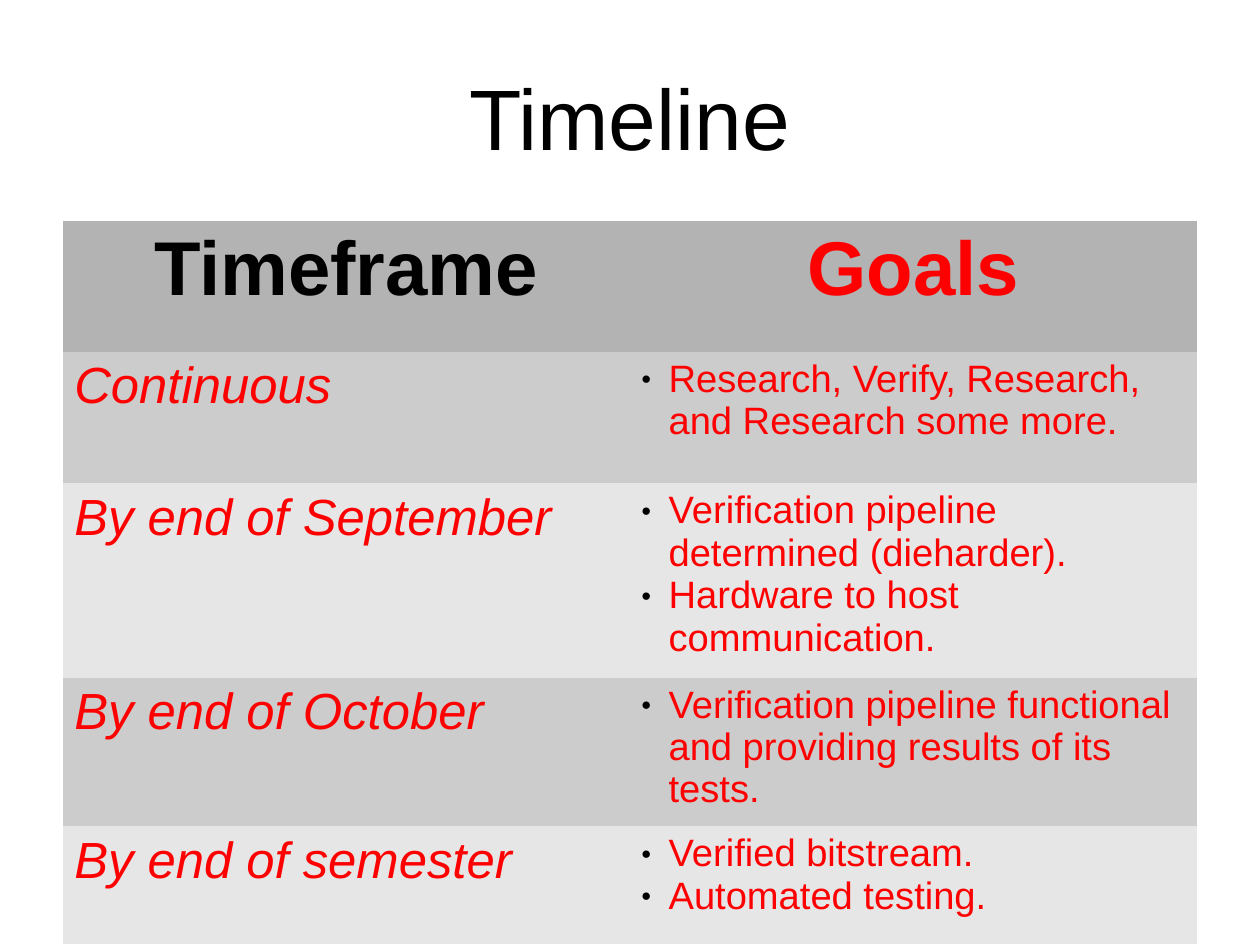
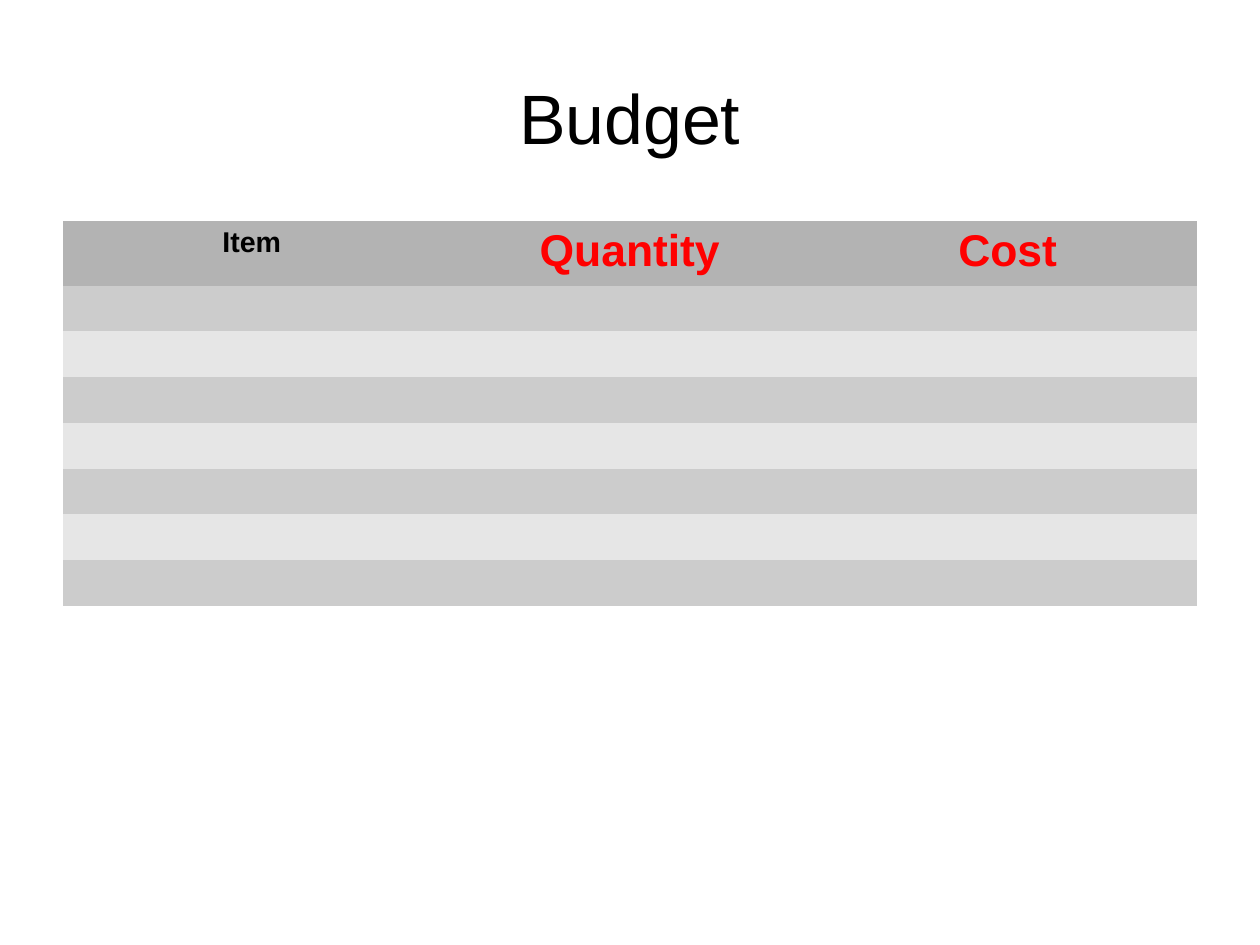
from lxml.etree import SubElement
from pptx import Presentation
from pptx.dml.color import RGBColor
from pptx.enum.text import MSO_ANCHOR as Anchor, PP_ALIGN as Align
from pptx.oxml.ns import qn
from pptx.util import Inches, Pt

COLOURS = {
    "ink": "000000",
    "accent": "FF0000",
    "header": "B3B3B3",
    "dark_band": "CCCCCC",
    "light_band": "E6E6E6",
}
CM_PER_INCH = 2.54
PLAIN_TABLE_STYLE = "{2D5ABB26-0587-4C30-8999-92F81FD0307C}"
TIMELINE = [
    ("Continuous", ["Research, Verify, Research, and Research some more."]),
    ("By end of September", ["Verification pipeline determined (dieharder).",
                             "Hardware to host communication."]),
    ("By end of October", ["Verification pipeline functional and providing "
                           "results of its tests."]),
    ("By end of semester", ["Verified bitstream.", "Automated testing."]),
]


class Deck:
    """Holds the shared style and the current slide."""

    font = "Arial"
    left, width = 0.55, 9.92
    title_top, title_height = 0.33, 1.38
    table_top = 1.93
    bullet_indent = 0.24

    def __init__(self):
        self.presentation = Presentation()
        self.presentation.slide_width = Inches(28 / CM_PER_INCH)
        self.presentation.slide_height = Inches(21 / CM_PER_INCH)
        self.slide = None

    def colour(self, name):
        return RGBColor.from_string(COLOURS[name])

    def add_slide(self, title, title_size):
        layout = self.presentation.slide_layouts[6]
        self.slide = self.presentation.slides.add_slide(layout)
        box = self.slide.shapes.add_textbox(
            Inches(self.left), Inches(self.title_top),
            Inches(self.width), Inches(self.title_height))
        frame = box.text_frame
        frame.word_wrap = True
        frame.vertical_anchor = Anchor.MIDDLE
        frame.margin_left = frame.margin_right = 0
        frame.margin_top = frame.margin_bottom = 0
        frame.paragraphs[0].alignment = Align.CENTER
        self.run(frame.paragraphs[0], title, title_size, "ink")

    def run(self, paragraph, text, size, colour="accent", bold=False, italic=False):
        run = paragraph.add_run()
        run.text = text
        run.font.name = self.font
        run.font.size = Pt(size)
        run.font.bold = bold
        run.font.italic = italic
        run.font.color.rgb = self.colour(colour)

    def table(self, column_count, row_heights):
        frame = self.slide.shapes.add_table(
            len(row_heights), column_count, Inches(self.left), Inches(self.table_top),
            Inches(self.width), Inches(sum(row_heights)))
        table = frame.table
        properties = frame._element.find(".//" + qn("a:tblPr"))
        properties.find(qn("a:tableStyleId")).text = PLAIN_TABLE_STYLE
        bands = ("light_band", "dark_band")
        for index, height in enumerate(row_heights):
            row = table.rows[index]
            row.height = Inches(height)
            for cell in row.cells:
                cell.fill.solid()
                cell.fill.fore_color.rgb = self.colour(bands[index % 2] if index else "header")
        return table

    def header(self, table, headings):
        for column, (text, size, colour) in enumerate(headings):
            paragraph = table.cell(0, column).text_frame.paragraphs[0]
            paragraph.alignment = Align.CENTER
            self.run(paragraph, text, size, colour, bold=True)

    def bullets(self, cell, items, size):
        frame = cell.text_frame
        for index, item in enumerate(items):
            paragraph = frame.add_paragraph() if index else frame.paragraphs[0]
            properties = paragraph._p.get_or_add_pPr()
            indent = Inches(self.bullet_indent)
            properties.set("marL", str(indent))
            properties.set("indent", str(-indent))
            bullet_colour = SubElement(properties, qn("a:buClr"))
            SubElement(bullet_colour, qn("a:srgbClr"), val=COLOURS["ink"])
            SubElement(properties, qn("a:buSzPct"), val="45000")
            SubElement(properties, qn("a:buFont"), typeface=self.font)
            SubElement(properties, qn("a:buChar"), char="●")
            self.run(paragraph, item, size)

    def empty_row(self, row, size):
        for cell in row.cells:
            paragraph = cell.text_frame.paragraphs[0]
            SubElement(paragraph._p, qn("a:endParaRPr"), sz=str(size * 100))


def timeline(deck):
    deck.add_slide("Timeline", 54)
    table = deck.table(2, [1.15, 1.15, 1.7, 1.3, 1.03])
    deck.header(table, [("Timeframe", 48, "ink"), ("Goals", 48, "accent")])
    for index, (timeframe, goals) in enumerate(TIMELINE, start=1):
        paragraph = table.cell(index, 0).text_frame.paragraphs[0]
        deck.run(paragraph, timeframe, 32, italic=True)
        deck.bullets(table.cell(index, 1), goals, 24)


def budget(deck):
    deck.add_slide("Budget", 44)
    table = deck.table(3, [0.57] + [0.4] * 7)
    deck.header(table, [("Item", 18, "ink"), ("Quantity", 28, "accent"),
                        ("Cost", 28, "accent")])
    for row in list(table.rows)[1:]:
        deck.empty_row(row, 12)


def main():
    deck = Deck()
    timeline(deck)
    budget(deck)
    deck.presentation.save("out.pptx")


if __name__ == "__main__":
    main()
